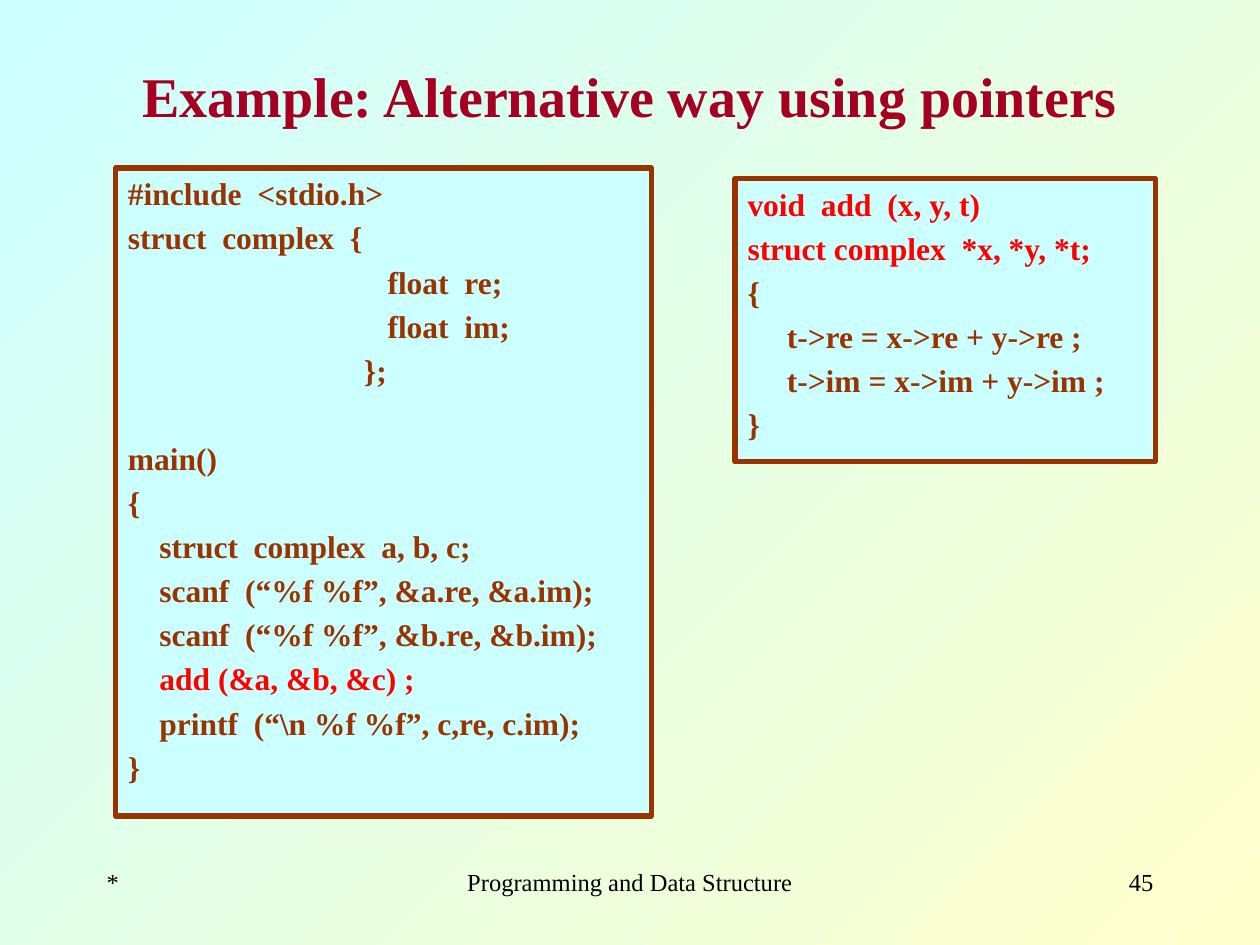
from pptx import Presentation
from pptx.dml.color import RGBColor as RGB
from pptx.enum.shapes import MSO_SHAPE as Shape
from pptx.enum.text import MSO_ANCHOR as Anchor, MSO_AUTO_SIZE as Fit, PP_ALIGN as Align
from pptx.util import Cm, Pt

HUES = {
    "cyan": "CCFFFF",
    "cream": "FFFFCC",
    "wine": "A50021",
    "brown": "993300",
    "red": "FF0000",
    "black": "000000",
}
FONTS = {
    "title": {"name": "Times New Roman", "size": Pt(32), "bold": True},
    "code": {"name": "Times New Roman", "size": Pt(18), "bold": True},
    "foot": {"name": "Times New Roman", "size": Pt(14), "bold": False},
}
GAP = Pt(3.6)
BREAK = Pt(28.8)

MAIN = [
    "#include  <stdio.h>",
    "struct  complex  {",
    "                                 float  re;",
    "                                 float  im;",
    "                              };",
    "main()",
    "{",
    "    struct  complex  a, b, c;",
    "    scanf  (“%f %f”, &a.re, &a.im);",
    "    scanf  (“%f %f”, &b.re, &b.im);",
    "    add (&a, &b, &c) ;",
    "    printf  (“\\n %f %f”, c,re, c.im);",
    "}",
]
ADD = [
    "void  add  (x, y, t)",
    "struct complex  *x, *y, *t;",
    "{",
    "     t->re = x->re + y->re ;",
    "     t->im = x->im + y->im ;",
    "}",
]


def hue(key):
    return RGB.from_string(HUES[key])


def style(font, kind, key):
    for name, value in FONTS[kind].items():
        setattr(font, name, value)
    font.color.rgb = hue(key)


def write(para, text, kind, key, align):
    para.alignment = align
    run = para.add_run()
    run.text = text
    style(run.font, kind, key)


def paint(slide):
    fill = slide.background.fill
    fill.gradient()
    fill.gradient_angle = 315
    for stop, key in zip(fill.gradient_stops, ("cyan", "cream")):
        stop.color.rgb = hue(key)


def head(slide, box, text):
    title = slide.shapes.title
    title.left, title.top, title.width, title.height = map(Cm, box)
    frame = title.text_frame
    frame.auto_size = Fit.NONE
    frame.vertical_anchor = Anchor.MIDDLE
    write(frame.paragraphs[0], text, "title", "wine", Align.CENTER)


def code(slide, box, lines, red, breaks=()):
    panel = slide.shapes.add_shape(Shape.RECTANGLE, *map(Cm, box))
    panel.shadow.inherit = False
    panel.fill.solid()
    panel.fill.fore_color.rgb = hue("cyan")
    panel.line.color.rgb = hue("brown")
    panel.line.width = Pt(3)
    frame = panel.text_frame
    frame.word_wrap = True
    frame.vertical_anchor = Anchor.TOP
    for i, line in enumerate(lines):
        para = frame.add_paragraph() if i else frame.paragraphs[0]
        if i:
            para.space_before = BREAK if i in breaks else GAP
        write(para, line, "code", "red" if i in red else "brown", Align.LEFT)


def foot(slide, box):
    left, top, width, height = box
    side, mid = 5.29, 8.04
    parts = [
        ("*", 0, side, Align.LEFT),
        ("Programming and Data Structure", (width - mid) / 2, mid, Align.CENTER),
        ("45", width - side, side, Align.RIGHT),
    ]
    for text, shift, wide, align in parts:
        note = slide.shapes.add_textbox(Cm(left + shift), Cm(top), Cm(wide), Cm(height))
        note.text_frame.word_wrap = True
        write(note.text_frame.paragraphs[0], text, "foot", "black", align)


def main():
    deck = Presentation()
    deck.slide_width, deck.slide_height = Cm(25.4), Cm(19.05)
    slide = deck.slides.add_slide(deck.slide_layouts[5])
    paint(slide)
    foot(slide, (1.9, 17.35, 21.6, 1.27))
    head(slide, (1.9, 0.85, 21.6, 2.12), "Example: Alternative way using pointers")
    code(slide, (2.33, 3.39, 10.8, 13.06), MAIN, {10}, {5})
    code(slide, (14.82, 3.6, 8.47, 5.71), ADD, {0, 1})
    deck.save("out.pptx")


if __name__ == "__main__":
    main()
